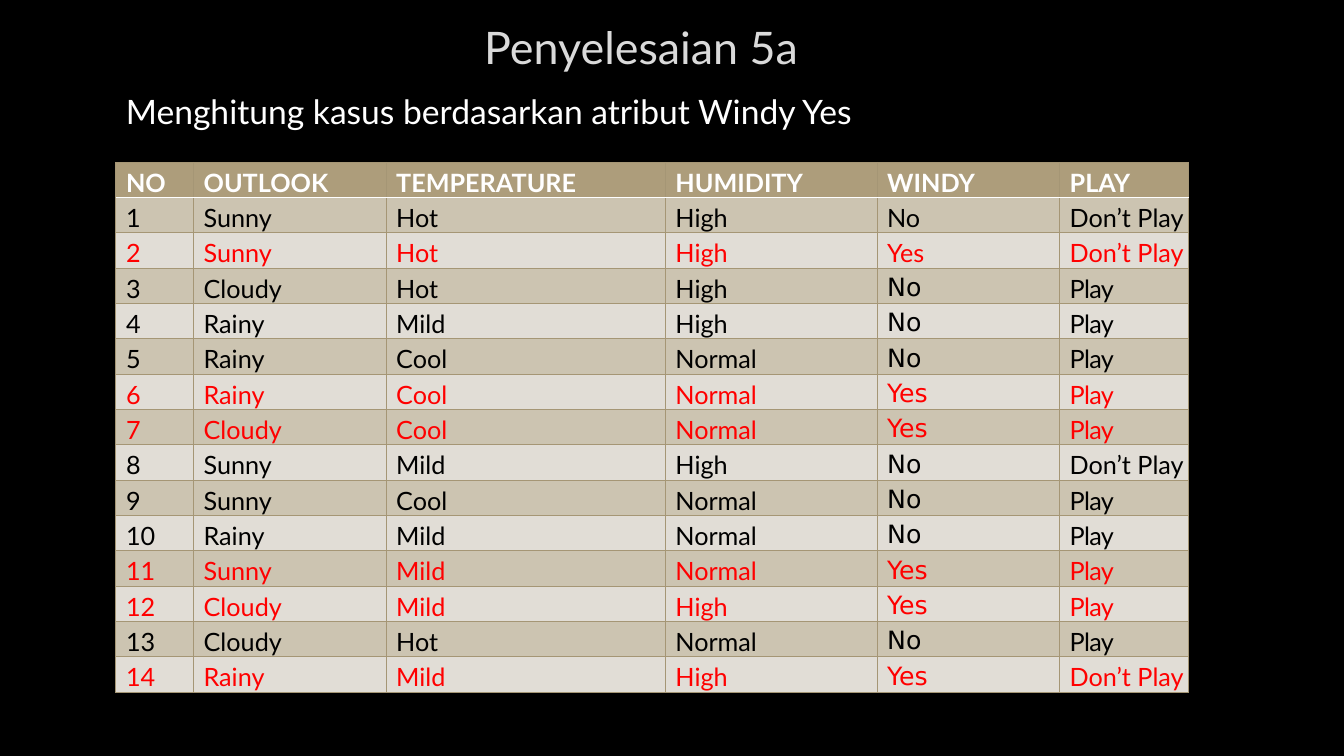
"""Build a slide that marks the windy cases in a table of weather data."""
import pptx
import pptx.util
import pptx.dml.color
import pptx.enum.text
import pptx.oxml
from pptx.oxml.ns import nsdecls

TITLE = "Penyelesaian 5a"
LEAD = "Menghitung kasus berdasarkan atribut Windy Yes"
HEAD = ("NO", "OUTLOOK", "TEMPERATURE", "HUMIDITY", "WINDY", "PLAY")
CASES = [
    ("Sunny", "Hot", "High", "No", "Don’t Play"),
    ("Sunny", "Hot", "High", "Yes", "Don’t Play"),
    ("Cloudy", "Hot", "High", "No", "Play"),
    ("Rainy", "Mild", "High", "No", "Play"),
    ("Rainy", "Cool", "Normal", "No", "Play"),
    ("Rainy", "Cool", "Normal", "Yes", "Play"),
    ("Cloudy", "Cool", "Normal", "Yes", "Play"),
    ("Sunny", "Mild", "High", "No", "Don’t Play"),
    ("Sunny", "Cool", "Normal", "No", "Play"),
    ("Rainy", "Mild", "Normal", "No", "Play"),
    ("Sunny", "Mild", "Normal", "Yes", "Play"),
    ("Cloudy", "Mild", "High", "Yes", "Play"),
    ("Cloudy", "Hot", "Normal", "No", "Play"),
    ("Rainy", "Mild", "High", "Yes", "Don’t Play"),
]
WIDTHS = (0.77, 1.91, 2.77, 2.1, 1.81, 1.28)
LEFT, TOP, ROW = 1.15, 1.61, 0.35
WINDY = HEAD.index("WINDY")

THEME = {
    "back": "000000", "title": "DADADA", "white": "FFFFFF",
    "text": "000000", "mark": "FF0000", "head": "AD9D7B",
    "odd": "CCC4B1", "even": "E1DDD6", "line": "A59675",
    "font": "Lato", "alt": "DejaVu Sans",
    "big": 32, "mid": 24, "small": 18,
}

Inches = pptx.util.Inches


def color(name):
    return pptx.dml.color.RGBColor.from_string(THEME[name])


def style(para, size, tint, face="font", bold=False):
    for run in para.runs:
        font = run.font
        font.name = THEME[face]
        font.size = pptx.util.Pt(THEME[size])
        font.bold = bold
        font.color.rgb = color(tint)


def add_text(slide, box, text, size, tint):
    shape = slide.shapes.add_textbox(*map(Inches, box))
    frame = shape.text_frame
    frame.word_wrap = True
    frame.text = text
    style(frame.paragraphs[0], size, tint)
    return frame


def add_edge(cell, side, tint, width):
    cell._tc.get_or_add_tcPr().append(pptx.oxml.parse_xml(
        f'<a:ln{side} {nsdecls("a")} w="{int(width * 12700)}">'
        f'<a:solidFill><a:srgbClr val="{THEME[tint]}"/></a:solidFill>'
        f'</a:ln{side}>'))


def fill_cell(cell, text, row, col, windy):
    cell.margin_left, cell.margin_top = Inches(0.1), Inches(0.05)
    cell.margin_right = cell.margin_bottom = 0
    rule = {0: "B", 1: "T"}.get(row)
    for side in "LRTB":
        thick = side == rule
        add_edge(cell, side, "white" if thick else "line", 1.25 if thick else 0.75)
    cell.fill.solid()
    band = "odd" if row % 2 else "even"
    cell.fill.fore_color.rgb = color(band if row else "head")
    cell.text_frame.text = text
    para = cell.text_frame.paragraphs[0]
    tint = "white" if row == 0 else "mark" if windy else "text"
    face = "alt" if col == WINDY and row > 2 else "font"
    style(para, "small", tint, face, row == 0)
    if text == "Play":
        para.runs[0]._r.get_or_add_rPr().set("spc", "-50")


def add_cases(slide):
    rows = [HEAD] + [(str(n), *case) for n, case in enumerate(CASES, 1)]
    frame = slide.shapes.add_table(
        len(rows), len(HEAD), Inches(LEFT), Inches(TOP),
        Inches(sum(WIDTHS)), Inches(ROW * len(rows)))
    table = frame.table
    for col, width in zip(table.columns, WIDTHS):
        col.width = Inches(width)
    for r, row in enumerate(rows):
        table.rows[r].height = Inches(ROW)
        for c, text in enumerate(row):
            fill_cell(table.cell(r, c), text, r, c, row[WINDY] == "Yes")


def main():
    deck = pptx.Presentation()
    deck.slide_width, deck.slide_height = Inches(13.33), Inches(7.5)
    slide = deck.slides.add_slide(deck.slide_layouts[6])
    slide.background.fill.solid()
    slide.background.fill.fore_color.rgb = color("back")
    title = add_text(slide, (LEFT, 0.15, 10.42, 0.63), TITLE, "big", "title")
    title.vertical_anchor = pptx.enum.text.MSO_ANCHOR.MIDDLE
    title.paragraphs[0].alignment = pptx.enum.text.PP_ALIGN.CENTER
    add_cases(slide)
    add_text(slide, (LEFT, 0.85, 11.03, 0.5), LEAD, "mid", "white")
    deck.save("out.pptx")


if __name__ == "__main__":
    main()
